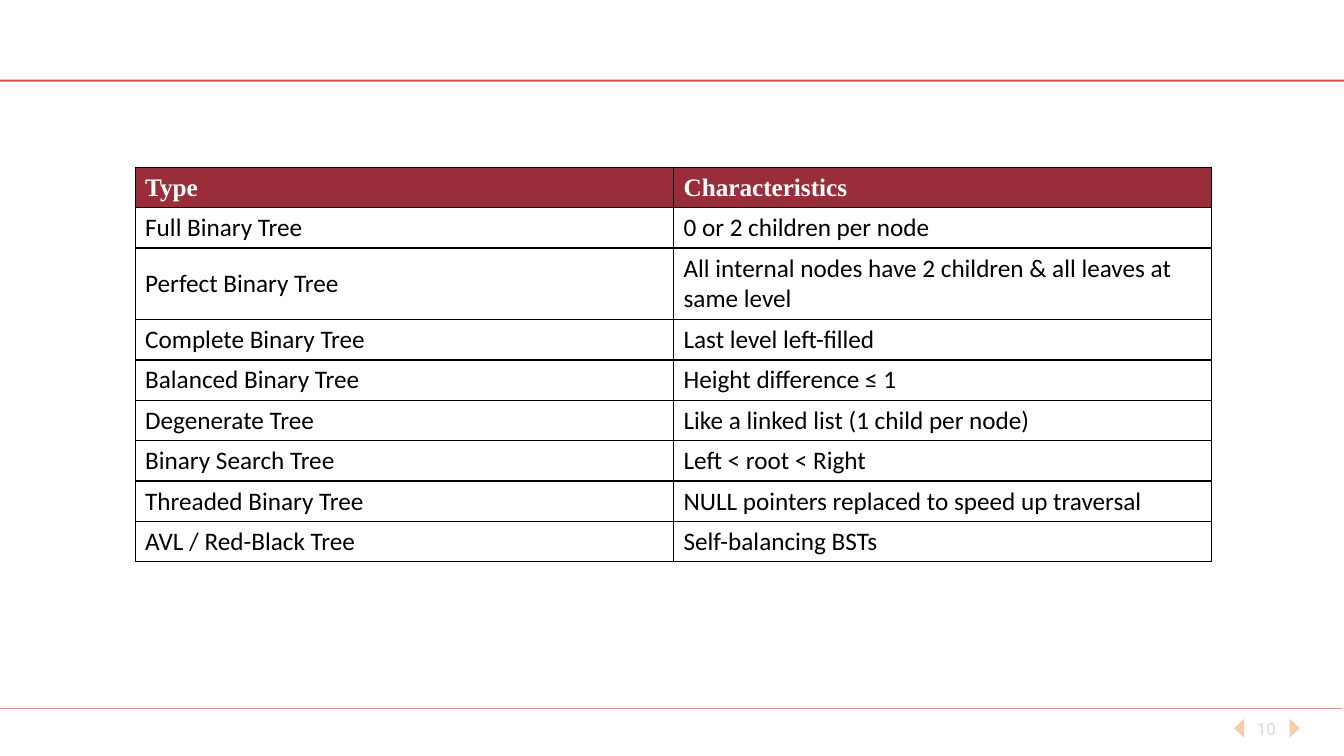
from lxml.etree import SubElement
from pptx import Presentation
from pptx.dml.color import RGBColor
from pptx.enum.shapes import MSO_CONNECTOR
from pptx.enum.text import MSO_ANCHOR, PP_ALIGN
from pptx.oxml.ns import qn
from pptx.util import Inches, Pt

COLORS = {
    "rule": "C00000",
    "header": "992E3A",
    "header_text": "FFFFFF",
    "text": "000000",
    "border": "000000",
    "arrow": "F8CBAD",
    "page": "D9D9D9",
}
FORMATS = {
    "header": {"name": "Times New Roman", "size": Pt(18), "bold": True},
    "text": {"name": "Calibri", "size": Pt(18), "bold": False},
    "page": {"name": "Roboto", "size": Pt(12), "bold": False},
}
TREE_TYPES = [
    ("Type", "Characteristics"),
    ("Full Binary Tree", "0 or 2 children per node"),
    ("Perfect Binary Tree", "All internal nodes have 2 children & all leaves at same level"),
    ("Complete Binary Tree", "Last level left-filled"),
    ("Balanced Binary Tree", "Height difference ≤ 1"),
    ("Degenerate Tree", "Like a linked list (1 child per node)"),
    ("Binary Search Tree", "Left < root < Right"),
    ("Threaded Binary Tree", "NULL pointers replaced to speed up traversal"),
    ("AVL / Red-Black Tree", "Self-balancing BSTs"),
]
ROW_HEIGHTS = [0.38, 0.4, 0.71] + [0.4] * 6


def rgb(name):
    return RGBColor.from_string(COLORS[name])


class SlideBuilder:
    def __init__(self, slide):
        self.slide = slide
        self.shapes = slide.shapes

    def add_text(self, tf, text, style, color, align=PP_ALIGN.LEFT):
        p = tf.paragraphs[0]
        p.alignment = align
        r = p.add_run()
        r.text = text
        for key, value in FORMATS[style].items():
            setattr(r.font, key, value)
        r.font.color.rgb = rgb(color)

    def page_number(self, text, left, top, width, height):
        tf = self.shapes.add_textbox(*map(Inches, (left, top, width, height))).text_frame
        tf.word_wrap = True
        tf.vertical_anchor = MSO_ANCHOR.MIDDLE
        self.add_text(tf, text, "page", "page", PP_ALIGN.CENTER)

    def arrow(self, base_x, tip_x, top, height):
        """Draw a triangle with a vertical base at base_x and its tip at tip_x."""
        builder = self.shapes.build_freeform(Inches(base_x), Inches(top))
        builder.add_line_segments([
            (Inches(tip_x), Inches(top + height / 2)),
            (Inches(base_x), Inches(top + height)),
        ])
        sp = builder.convert_to_shape()
        sp.shadow.inherit = False
        sp.fill.solid()
        sp.fill.fore_color.rgb = rgb("arrow")
        sp.line.fill.background()

    def rule(self, y, right, width, opacity=70):
        """Draw a translucent horizontal line from the left slide edge."""
        line = self.shapes.add_connector(
            MSO_CONNECTOR.STRAIGHT, 0, Inches(y), Inches(right), Inches(y))
        line.line.width = Pt(width)
        line.line.color.rgb = rgb("rule")
        props = line._element.spPr
        color = props.find(".//" + qn("a:srgbClr"))
        SubElement(color, qn("a:alpha"), val=str(opacity * 1000))
        SubElement(props, qn("a:effectLst"))

    def border(self, cell):
        props = cell._tc.get_or_add_tcPr()
        for index, side in enumerate(("lnL", "lnR", "lnT", "lnB")):
            ln = SubElement(props, qn(f"a:{side}"), w=str(Pt(1)))
            fill = SubElement(ln, qn("a:solidFill"))
            SubElement(fill, qn("a:srgbClr"), val=COLORS["border"])
            props.insert(index, ln)

    def table(self, rows, heights, left, top, width):
        frame = self.shapes.add_table(
            len(rows), len(rows[0]), Inches(left), Inches(top),
            Inches(width), Inches(sum(heights)))
        table = frame.table
        table.horz_banding = False
        for i, (row, height) in enumerate(zip(rows, heights)):
            table.rows[i].height = Inches(height)
            for j, text in enumerate(row):
                cell = table.cell(i, j)
                cell.vertical_anchor = MSO_ANCHOR.MIDDLE
                if i == 0:
                    cell.fill.solid()
                    cell.fill.fore_color.rgb = rgb("header")
                    self.add_text(cell.text_frame, text, "header", "header_text")
                else:
                    cell.fill.background()
                    self.add_text(cell.text_frame, text, "text", "text")
                self.border(cell)


def main():
    prs = Presentation()
    prs.slide_width, prs.slide_height = Inches(13.33), Inches(7.5)
    s = SlideBuilder(prs.slides.add_slide(prs.slide_layouts[6]))
    s.page_number("10", 12.28, 7.03, 0.56, 0.4)
    s.arrow(12.79, 12.89, 7.13, 0.19)
    s.arrow(12.34, 12.24, 7.13, 0.19)
    s.rule(7.03, 13.31, 0.5)
    s.rule(0.8, 13.33, 1.5)
    s.table(TREE_TYPES, ROW_HEIGHTS, 1.34, 1.66, 10.68)
    prs.save("out.pptx")


if __name__ == "__main__":
    main()
